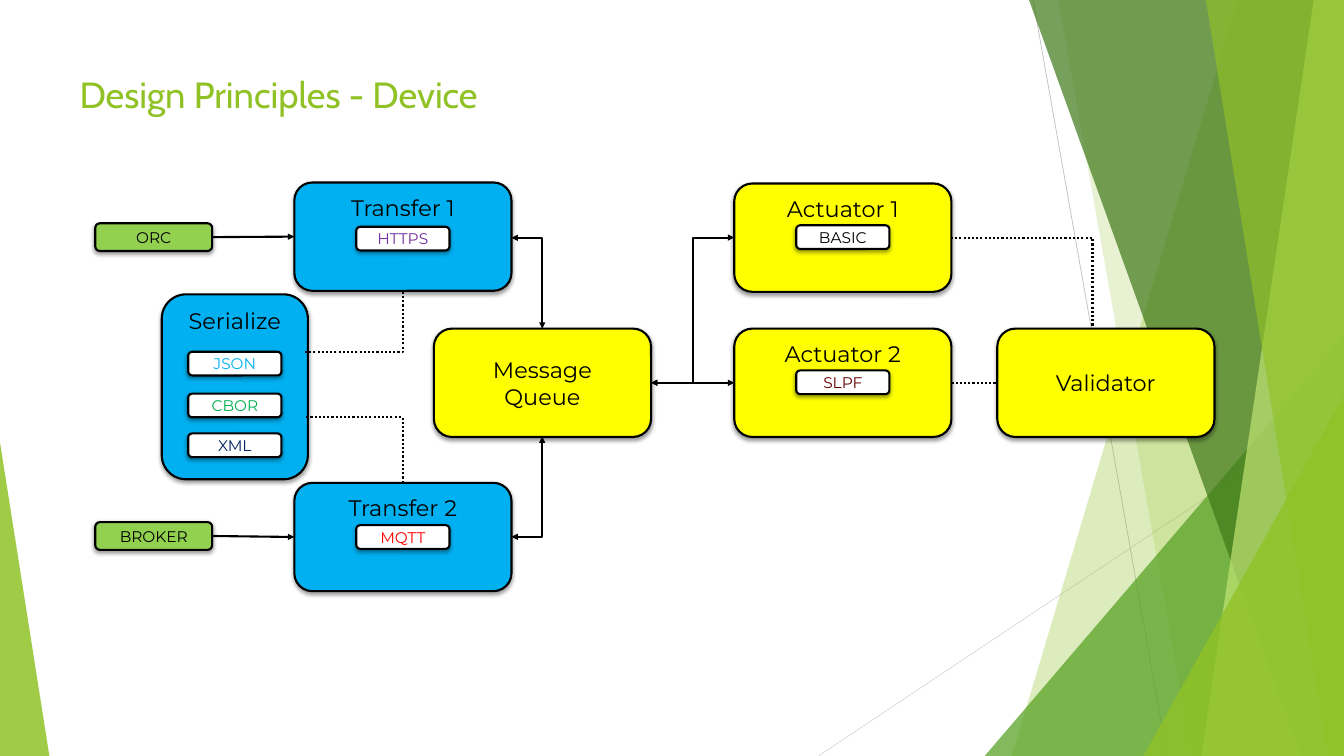
"""Build the device design principles slide."""
from dataclasses import dataclass

from lxml.etree import SubElement
from pptx import Presentation
from pptx.dml.color import RGBColor
from pptx.enum.dml import MSO_LINE
from pptx.enum.shapes import MSO_CONNECTOR, MSO_SHAPE
from pptx.enum.text import MSO_ANCHOR, PP_ALIGN
from pptx.oxml.ns import qn
from pptx.util import Inches, Pt


@dataclass(frozen=True)
class Theme:
    ink: str = "000000"
    paper: str = "FFFFFF"
    accent: str = "90C226"
    blue: str = "00B0F0"
    yellow: str = "FFFF00"
    green: str = "92D050"
    title_font: str = "Cabin"
    body_font: str = "Montserrat"
    title_size: int = 52
    panel_size: int = 32
    chip_size: int = 22
    line_width: int = 3


THEME = Theme()
WIDTH, HEIGHT = 26.67, 15
TITLE = "Design Principles - Device"

RAYS = [
    ((20.5, 0), (23.16, HEIGHT), "BFBFBF"),
    ((WIDTH, 8.05), (16.24, HEIGHT), "D9D9D9"),
]
TOP_RIGHT, BOTTOM_RIGHT = (WIDTH, 0), (WIDTH, HEIGHT)
FACETS = [
    ([(24.56, 0), TOP_RIGHT, BOTTOM_RIGHT, (20.08, HEIGHT)], THEME.accent, 30),
    ([(21, 0), TOP_RIGHT, BOTTOM_RIGHT, (23.65, HEIGHT)], THEME.accent, 20),
    ([(19.54, HEIGHT), (WIDTH, 6.67), BOTTOM_RIGHT], "54A021", 72),
    ([(20.42, 0), TOP_RIGHT, BOTTOM_RIGHT, (25.82, HEIGHT)], "3F7819", 70),
    ([(26.07, 0), TOP_RIGHT, BOTTOM_RIGHT, (23.84, HEIGHT)], "C0E474", 70),
    ([(23.93, 0), TOP_RIGHT, BOTTOM_RIGHT, (26.35, HEIGHT)], THEME.accent, 65),
    ([(22.69, HEIGHT), (WIDTH, 7.85), BOTTOM_RIGHT], THEME.accent, 80),
    ([(0, HEIGHT), (0, 8.78), (0.98, HEIGHT)], THEME.accent, 85),
]

PANEL, TALL, CHIP, SOURCE = (4.31, 2.15), (2.9, 3.67), (1.85, 0.47), (2.32, 0.55)
TOP, MIDDLE = MSO_ANCHOR.TOP, MSO_ANCHOR.MIDDLE
PANELS = [
    ("Transfer 1", (5.84, 3.62), PANEL, THEME.blue, TOP, [("HTTPS", 0.88, "7030A0")]),
    ("Transfer 2", (5.84, 9.58), PANEL, THEME.blue, TOP, [("MQTT", 0.84, "FF0000")]),
    ("Serialize", (3.21, 5.84), TALL, THEME.blue, TOP,
     [("JSON", 1.14, THEME.blue), ("CBOR", 1.97, "00B050"), ("XML", 2.76, "002060")]),
    ("Actuator 1", (14.57, 3.64), PANEL, THEME.yellow, TOP, [("BASIC", 0.83, THEME.ink)]),
    ("Actuator 2", (14.57, 6.52), PANEL, THEME.yellow, TOP, [("SLPF", 0.83, "660000")]),
    ("Message\nQueue", (8.61, 6.52), PANEL, THEME.yellow, MIDDLE, []),
    ("Validator", (19.79, 6.52), PANEL, THEME.yellow, MIDDLE, []),
]
SOURCES = [("ORC", (1.89, 4.43)), ("BROKER", (1.89, 10.36))]

STRAIGHT, ELBOW = MSO_CONNECTOR.STRAIGHT, MSO_CONNECTOR.ELBOW
ONE_WAY, TWO_WAY, DOTTED = ("tailEnd",), ("headEnd", "tailEnd"), ()
LINKS = [
    ("ORC", "Transfer 1", STRAIGHT, ONE_WAY),
    ("BROKER", "Transfer 2", STRAIGHT, ONE_WAY),
    ("Message\nQueue", "Actuator 1", ELBOW, TWO_WAY),
    ("Message\nQueue", "Actuator 2", STRAIGHT, TWO_WAY),
    ("Actuator 2", "Validator", STRAIGHT, DOTTED),
]
BENDS = [
    ([(7.99, 5.79), (7.99, 6.98), (6.04, 6.98)], DOTTED),
    ([(7.99, 9.58), (7.99, 8.28), (6.04, 8.28)], DOTTED),
    ([(10.15, 4.72), (10.76, 4.72), (10.76, 6.52)], TWO_WAY),
    ([(10.15, 10.65), (10.76, 10.65), (10.76, 8.66)], TWO_WAY),
    ([(18.87, 4.72), (21.68, 4.72), (21.68, 6.52)], DOTTED),
]


def apply(target, values):
    for name, value in values.items():
        setattr(target, name, value)


def paint(fill, color):
    fill.solid()
    fill.fore_color.rgb = RGBColor.from_string(color)


def stroke(line, color=THEME.ink, width=THEME.line_width):
    paint(line.fill, color)
    line.width = Pt(width)


def write(box, text, font, size, color, align, anchor, inset):
    frame = box.text_frame
    margins = {f"margin_{side}": Inches(inset) for side in ("left", "top", "right", "bottom")}
    apply(frame, {"word_wrap": True, "vertical_anchor": anchor, **margins})
    for index, words in enumerate(text.split("\n")):
        para = frame.add_paragraph() if index else frame.paragraphs[0]
        para.alignment = align
        span = para.add_run()
        span.text = words
        apply(span.font, {"name": font, "size": Pt(size)})
        span.font.color.rgb = RGBColor.from_string(color)


def add_box(page, text, place, size, fill, text_color, text_size, anchor, inset):
    box = page.shapes.add_shape(MSO_SHAPE.ROUNDED_RECTANGLE, *map(Inches, place + size))
    paint(box.fill, fill)
    stroke(box.line)
    box.shadow.inherit = False
    effects = box._element.spPr.find(qn("a:effectLst"))
    shadow = SubElement(effects, qn("a:outerShdw"), blurRad=str(Pt(6)), dist=str(Pt(3)),
                        dir="5400000", rotWithShape="0")
    tint = SubElement(shadow, qn("a:srgbClr"), val=THEME.ink)
    SubElement(tint, qn("a:alpha"), val="38000")
    write(box, text, THEME.body_font, text_size, text_color, PP_ALIGN.CENTER, anchor, inset)
    return box


def add_outline(page, points, closed):
    corners = [(Inches(x), Inches(y)) for x, y in points]
    builder = page.shapes.build_freeform(*corners[0])
    builder.add_line_segments(corners[1:], close=closed)
    outline = builder.convert_to_shape()
    outline.shadow.inherit = False
    return outline


def add_line(page, start, end, kind=STRAIGHT):
    line = page.shapes.add_connector(kind, *map(Inches, start + end))
    SubElement(line._element.spPr, qn("a:effectLst"))
    return line


def style_link(link, ends):
    stroke(link.line)
    if not ends:
        link.line.dash_style = MSO_LINE.ROUND_DOT
    for end in ends:
        SubElement(link.line._get_or_add_ln(), qn(f"a:{end}"), type="triangle")


def draw_backdrop(page):
    for start, end, color in RAYS:
        stroke(add_line(page, start, end).line, color, 1)
    for points, color, opacity in FACETS:
        facet = add_outline(page, points, True)
        paint(facet.fill, color)
        facet.line.fill.background()
        tint = facet._element.spPr.find(qn("a:solidFill"))[0]
        SubElement(tint, qn("a:alpha"), val=str(opacity * 1000))


def draw_boxes(page):
    boxes = {}
    for name, place, size, fill, anchor, chips in PANELS:
        boxes[name] = add_box(page, name, place, size, fill, THEME.ink,
                              THEME.panel_size, anchor, 0.12)
        for label, drop, color in chips:
            spot = (place[0] + (size[0] - CHIP[0]) / 2, place[1] + drop)
            add_box(page, label, spot, CHIP, THEME.paper, color, THEME.chip_size, MIDDLE, 0)
    for name, place in SOURCES:
        boxes[name] = add_box(page, name, place, SOURCE, THEME.green, THEME.ink,
                              THEME.chip_size, MIDDLE, 0)
    return boxes


def draw_links(page, boxes):
    for origin, target, kind, ends in LINKS:
        link = add_line(page, (0, 0), (1, 1), kind)
        link.begin_connect(boxes[origin], 3)
        link.end_connect(boxes[target], 1)
        style_link(link, ends)
    for points, ends in BENDS:
        bend = add_outline(page, points, False)
        bend.fill.background()
        style_link(bend, ends)


def main():
    deck = Presentation()
    apply(deck, {"slide_width": Inches(WIDTH), "slide_height": Inches(HEIGHT)})
    page = deck.slides.add_slide(deck.slide_layouts[6])
    draw_backdrop(page)
    title = page.shapes.add_textbox(*map(Inches, (1.48, 1.33, 18.8, 2.89)))
    write(title, TITLE, THEME.title_font, THEME.title_size, THEME.accent,
          PP_ALIGN.LEFT, TOP, 0.1)
    draw_links(page, draw_boxes(page))
    deck.save("out.pptx")


if __name__ == "__main__":
    main()
